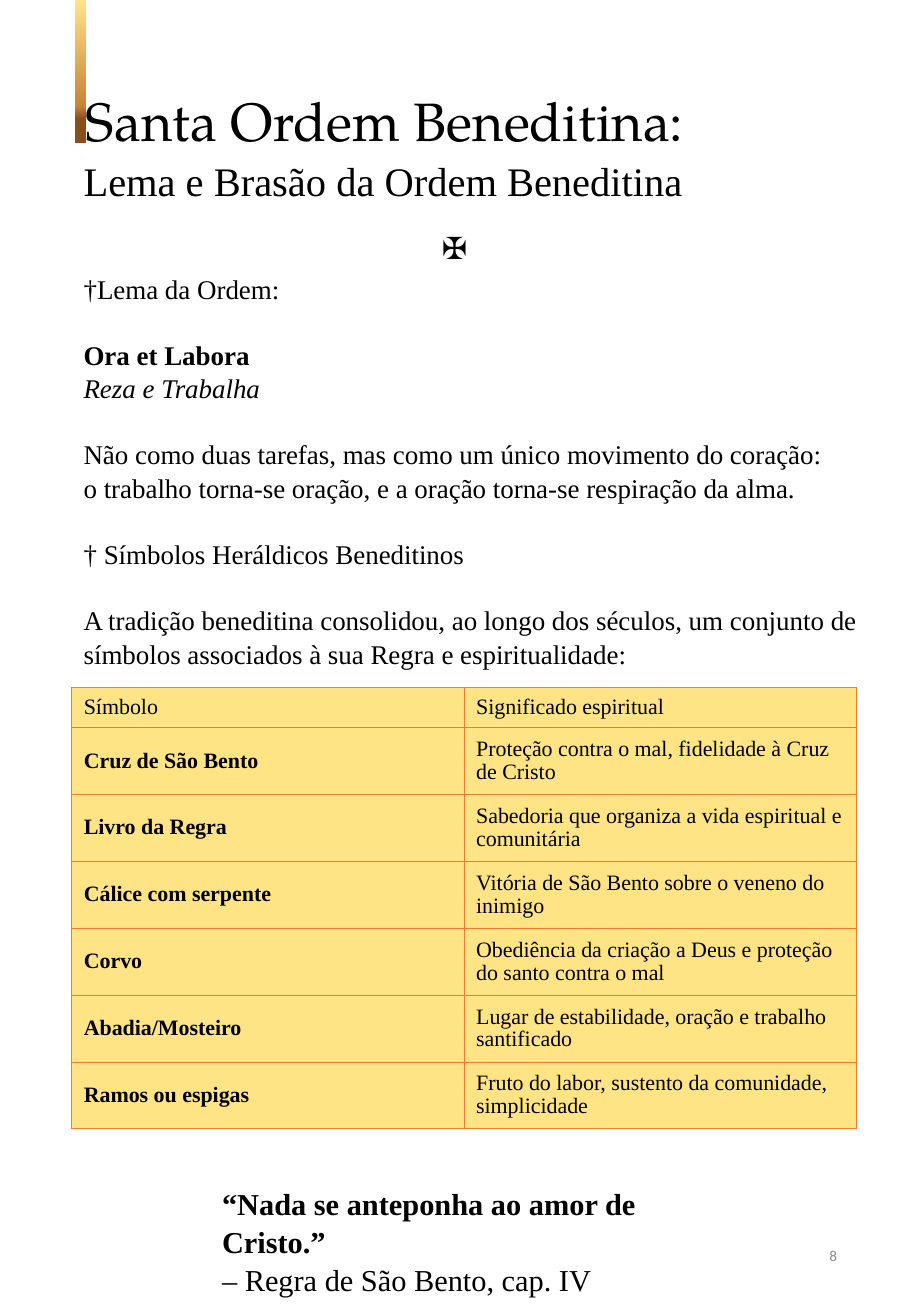
from copy import deepcopy
from dataclasses import dataclass, field

from pptx import Presentation
from pptx.dml.color import RGBColor
from pptx.enum.shapes import MSO_SHAPE
from pptx.enum.text import MSO_ANCHOR, PP_ALIGN
from pptx.oxml import parse_xml
from pptx.oxml.ns import nsdecls, qn
from pptx.util import Inches, Pt

RECT = MSO_SHAPE.RECTANGLE
TOP, MIDDLE = MSO_ANCHOR.TOP, MSO_ANCHOR.MIDDLE
LEFT, RIGHT = PP_ALIGN.LEFT, PP_ALIGN.RIGHT
SERIF, BOOK, SANS = "Times New Roman", "TeX Gyre Pagella", "Calibri"
BLACK, GRAY, GOLD, ORANGE = "000000", "8C8C8C", "FEE485", "ED7D31"
BOLD, ITALIC = {"bold": True}, {"italic": True}


@dataclass
class Run:
    text: str
    style: dict = field(default_factory=dict)


@dataclass
class Para:
    """Each run starts on a new line; gap is the space before, in points."""
    runs: list[Run]
    gap: float = 0


@dataclass
class Box:
    place: tuple[float, float, float, float]
    paras: list[Para]
    size: float
    font: str = SERIF
    color: str = BLACK
    spacing: float = 1.0
    anchor: MSO_ANCHOR = TOP
    align: PP_ALIGN = LEFT


def rgb(code: str) -> RGBColor:
    return RGBColor.from_string(code)


def line(text: str, gap: float = 0, **style: bool) -> Para:
    return Para([Run(text, style)], gap)


def write(frame, paras: list[Para], size: float, font: str = SERIF,
          color: str = BLACK, spacing: float = 1.0, align: PP_ALIGN = LEFT) -> None:
    for i, item in enumerate(paras):
        para = frame.add_paragraph() if i else frame.paragraphs[0]
        layout = {"alignment": align, "line_spacing": spacing,
                  "space_before": Pt(item.gap)}
        for key, value in layout.items():
            setattr(para, key, value)
        for j, part in enumerate(item.runs):
            if j:
                para.add_line_break()
            run = para.add_run()
            run.text = part.text
            style = {"name": font, "size": Pt(size)} | part.style
            for key, value in style.items():
                setattr(run.font, key, value)
            run.font.color.rgb = rgb(color)


def add_box(slide, box: Box) -> None:
    frame = slide.shapes.add_textbox(*map(Inches, box.place)).text_frame
    frame.word_wrap = True
    frame.vertical_anchor = box.anchor
    write(frame, box.paras, box.size, box.font, box.color, box.spacing, box.align)


def add_ribbon(slide) -> None:
    bar = slide.shapes.add_shape(RECT, *map(Inches, (0.62, 0, 0.09, 1.18)))
    bar.shadow.inherit = False
    bar.line.fill.background()
    bar.fill.gradient()
    bar.fill.gradient_angle = 270
    stops = bar._element.spPr.find(".//" + qn("a:gsLst"))
    for stop in list(stops):
        stops.append(deepcopy(stop))
    shades = [(0, GOLD), (0.74, "CA8335"), (0.83, "8A4E1C"), (1, "8A4E1C")]
    for stop, (spot, code) in zip(bar.fill.gradient_stops, shades):
        stop.position = spot
        stop.color.rgb = rgb(code)


def add_edges(cell) -> None:
    props = cell._tc.get_or_add_tcPr()
    for i, side in enumerate(("lnL", "lnR", "lnT", "lnB")):
        props.insert(i, parse_xml(
            f'<a:{side} {nsdecls("a")} w="{Pt(0.5)}"><a:solidFill>'
            f'<a:srgbClr val="{ORANGE}"/></a:solidFill></a:{side}>'))


def add_grid(slide, rows: list[tuple[str, str]]) -> None:
    place = map(Inches, (0.59, 5.66, 6.47, 3.62))
    table = slide.shapes.add_table(len(rows), 2, *place).table
    table.first_row = table.horz_banding = False
    for col in table.columns:
        col.width = Inches(3.23)
    for i, texts in enumerate(rows):
        table.rows[i].height = Inches(0.55 if i else 0.33)
        for j, text in enumerate(texts):
            cell = table.cell(i, j)
            cell.vertical_anchor = MIDDLE
            cell.fill.solid()
            cell.fill.fore_color.rgb = rgb(GOLD)
            add_edges(cell)
            write(cell.text_frame, [line(text, bold=i > 0 and j == 0)], 13,
                  spacing=0.95)


SKIP = 19.2
MOTTO = [
    line("†Lema da Ordem:"),
    Para([Run("Ora et Labora", BOLD), Run("Reza e Trabalha", ITALIC)], SKIP),
    Para([Run("Não como duas tarefas, mas como um único movimento do coração:"),
          Run("o trabalho torna-se oração, e a oração torna-se respiração da alma.")],
         SKIP),
    line("† Símbolos Heráldicos Beneditinos", SKIP),
    line("A tradição beneditina consolidou, ao longo dos séculos, um conjunto de "
         "símbolos associados à sua Regra e espiritualidade:", SKIP),
]
QUOTE = [
    line("“Nada se anteponha ao amor de Cristo.”", bold=True),
    line("– Regra de São Bento, cap. IV"),
]
BOXES = [
    Box((0.59, 1.22, 6.54, 0.5), [line("Lema e Brasão da Ordem Beneditina")], 24,
        spacing=1.04),
    Box((0.61, 0.67, 6.93, 0.64), [line("Santa Ordem Beneditina:")], 32, BOOK),
    Box((3.54, 1.84, 0.34, 0.4), [line("✠")], 18, SANS),
    Box((0.59, 2.18, 6.7, 3.4), MOTTO, 16, spacing=1.04),
    Box((5.3, 10.04, 1.69, 0.58), [line("8")], 9, SANS, GRAY,
        anchor=MIDDLE, align=RIGHT),
    Box((1.73, 9.69, 4.04, 1), QUOTE, 18, spacing=1.04),
]
SYMBOLS = [
    ("Símbolo", "Significado espiritual"),
    ("Cruz de São Bento", "Proteção contra o mal, fidelidade à Cruz de Cristo"),
    ("Livro da Regra", "Sabedoria que organiza a vida espiritual e comunitária"),
    ("Cálice com serpente", "Vitória de São Bento sobre o veneno do inimigo"),
    ("Corvo", "Obediência da criação a Deus e proteção do santo contra o mal"),
    ("Abadia/Mosteiro", "Lugar de estabilidade, oração e trabalho santificado"),
    ("Ramos ou espigas", "Fruto do labor, sustento da comunidade, simplicidade"),
]


def main() -> None:
    deck = Presentation()
    deck.slide_width, deck.slide_height = Inches(7.5), Inches(10.83)
    slide = deck.slides.add_slide(deck.slide_layouts[6])
    add_ribbon(slide)
    for box in BOXES:
        add_box(slide, box)
    add_grid(slide, SYMBOLS)
    deck.save("out.pptx")


if __name__ == "__main__":
    main()
